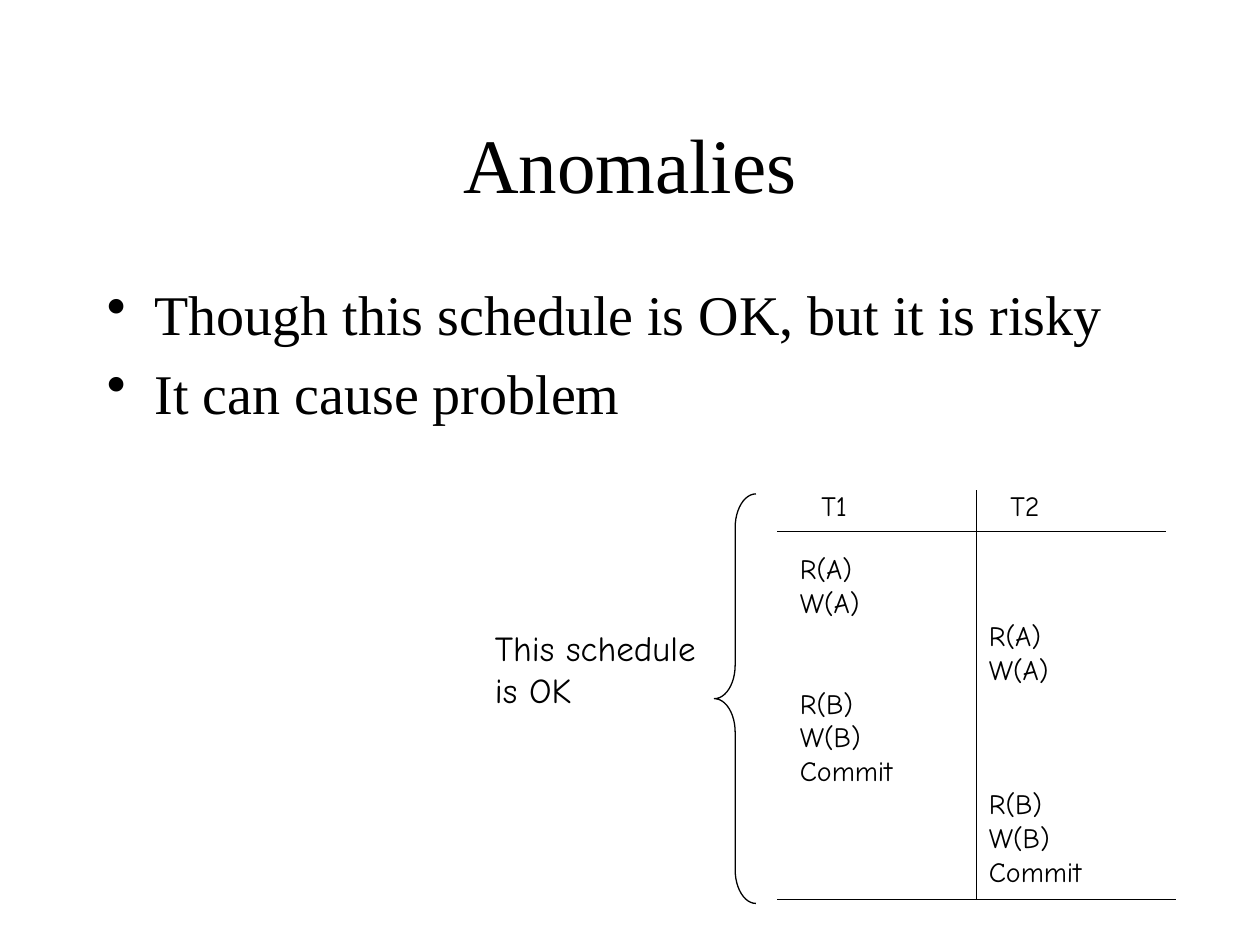
import pptx
import pptx.util
import pptx.dml.color
import pptx.enum.shapes
import pptx.enum.text
import pptx.oxml.ns
import lxml.etree
from dataclasses import dataclass

Inches = pptx.util.Inches
Pt = pptx.util.Pt
ANCHOR = pptx.enum.text.MSO_ANCHOR
FIT = pptx.enum.text.MSO_AUTO_SIZE


@dataclass(frozen=True)
class Theme:
    ink = pptx.dml.color.RGBColor(0, 0, 0)
    paper = pptx.dml.color.RGBColor(255, 255, 255)
    serif = "Times New Roman"
    hand = "Comic Neue"
    title = 44
    body = 32
    note = 20
    cell = 16
    rule = 0.75


# Content
TITLE = "Anomalies"
POINTS = ["Though this schedule is OK, but it is risky", "It can cause problem"]
NOTE = ["This schedule is OK"]
HEAD = ["T1", "T2"]
STEPS = [
    (0, ["R(A)", "W(A)"]),
    (1, ["R(A)", "W(A)"]),
    (0, ["R(B)", "W(B)", "Commit"]),
    (1, ["R(B)", "W(B)", "Commit"]),
]
GAP = "\t" * 3  # three half-inch stops lead to the second column
TAB = 0.5

# Schedule frame
LEFT, MID, TOP, BASE, NECK = 6.17, 7.75, 3.89, 7.14, 4.22
RULES = [
    (LEFT, BASE, 9.33, BASE),
    (LEFT, NECK, 9.25, NECK),
    (MID, TOP, MID, BASE),
]

deck = pptx.Presentation()
deck.slide_width, deck.slide_height = Inches(10), Inches(7.5)
slide = deck.slides.add_slide(deck.slide_layouts[5])
slide.background.fill.solid()
slide.background.fill.fore_color.rgb = Theme.paper


def node(parent, tag, **attrs):
    return lxml.etree.SubElement(parent, pptx.oxml.ns.qn(tag), attrs)


def write(frame, lines, size, face):
    paras = []
    for i, line in enumerate(lines):
        para = frame.paragraphs[0] if i == 0 else frame.add_paragraph()
        run = para.add_run()
        run.text = line
        run.font.size, run.font.name = Pt(size), face
        run.font.color.rgb = Theme.ink
        paras.append(para)
    return paras


def box(area, lines, size, face, wrap=True, fit=FIT.SHAPE_TO_FIT_TEXT):
    frame = slide.shapes.add_textbox(*map(Inches, area)).text_frame
    frame.word_wrap, frame.auto_size = wrap, fit
    return write(frame, lines, size, face)


def stops(paras):
    for para in paras:
        tabs = node(para._p.get_or_add_pPr(), "a:tabLst")
        for n in range(1, len(GAP) + 1):
            node(tabs, "a:tab", pos=str(Inches(TAB * n)), algn="l")


# Title
head = slide.shapes.title
head.left, head.top, head.width, head.height = map(Inches, (0.75, 0.67, 8.5, 1.25))
head.text_frame.vertical_anchor = ANCHOR.MIDDLE
head.text_frame.auto_size = FIT.NONE
for para in write(head.text_frame, [TITLE], Theme.title, Theme.serif):
    para.alignment = pptx.enum.text.PP_ALIGN.CENTER

# Bullets
for para in box((0.75, 2.17, 8.5, 4.5), POINTS, Theme.body, Theme.serif, fit=FIT.NONE):
    para.space_before = Pt(Theme.body * 0.2)
    prop = para._p.get_or_add_pPr()
    prop.set("marL", str(Inches(0.38)))
    prop.set("indent", str(-Inches(0.38)))
    node(prop, "a:buChar", char="\u2022")

# Schedule
rows = [GAP * col + step for col, steps in STEPS for step in steps]
stops(box((6.25, 4.33, 2.48, 2.79), rows, Theme.cell, Theme.hand, wrap=False))
for x1, y1, x2, y2 in RULES:
    rule = slide.shapes.add_connector(
        pptx.enum.shapes.MSO_CONNECTOR.STRAIGHT, *map(Inches, (x1, y1, x2, y2)))
    rule.line.color.rgb, rule.line.width = Theme.ink, Pt(Theme.rule)
    node(rule._element.spPr, "a:effectLst")
stops(box((6.42, 3.83, 2.01, 0.37), [GAP.join(HEAD)], Theme.cell, Theme.hand, wrap=False))

# Note and brace
box((3.83, 4.92, 1.83, 1.11), NOTE, Theme.note, Theme.hand)
brace = slide.shapes.add_shape(
    pptx.enum.shapes.MSO_SHAPE.LEFT_BRACE, *map(Inches, (5.67, 3.92, 0.33, 3.25)))
brace.adjustments[0], brace.adjustments[1] = 0.81, 0.5
brace.shadow.inherit = False
brace.fill.background()
brace.line.color.rgb, brace.line.width = Theme.ink, Pt(Theme.rule)

deck.save("out.pptx")
